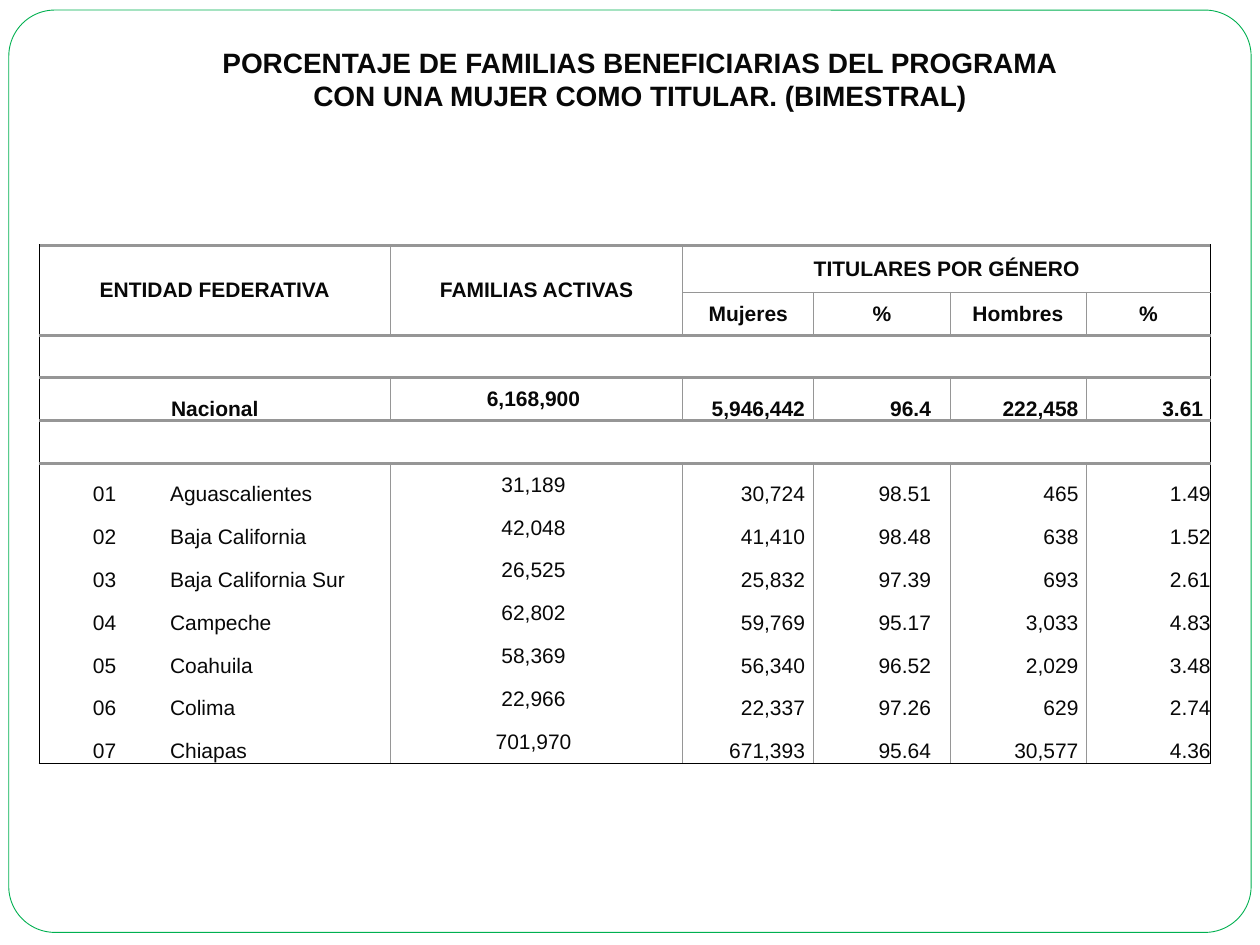
from lxml import etree
from pptx import Presentation
from pptx import util as u
from pptx.dml.color import RGBColor
from pptx.enum import shapes, text
from pptx.oxml.ns import qn

COLORS = {"paper": "FFFFFF", "frame": "00B050", "ink": "080808",
          "grid": "969696", "outline": "000000"}
FONT = "Arial"
CENTER, LEFT, RIGHT = text.PP_ALIGN.CENTER, text.PP_ALIGN.LEFT, text.PP_ALIGN.RIGHT
MIDDLE, BOTTOM = text.MSO_ANCHOR.MIDDLE, text.MSO_ANCHOR.BOTTOM


def write(para, words, size, bold, align):
    para.alignment = align
    span = para.add_run()
    span.text = words
    for name, value in {"name": FONT, "size": u.Pt(size), "bold": bold}.items():
        setattr(span.font, name, value)
    span.font.color.rgb = RGBColor.from_string(COLORS["ink"])


def set_border(cell, position, side, color, points):
    """Add one cell border; borders come before the fill in the cell properties."""
    line = etree.Element(qn(f"a:ln{side}"), w=str(u.Pt(points)))
    if color:
        fill = etree.SubElement(line, qn("a:solidFill"))
        etree.SubElement(fill, qn("a:srgbClr"), val=COLORS[color])
    else:
        etree.SubElement(line, qn("a:noFill"))
    cell._tc.get_or_add_tcPr().insert(position, line)


deck = Presentation()
deck.slide_width, deck.slide_height = u.Inches(10), u.Inches(7.5)
page = deck.slides.add_slide(deck.slide_layouts[6])

# Rounded frame
frame = page.shapes.add_shape(shapes.MSO_SHAPE.ROUNDED_RECTANGLE, u.Inches(0.07),
                              u.Inches(0.08), u.Inches(9.86), u.Inches(7.32))
frame.adjustments[0] = 0.05
frame.shadow.inherit = False
frame.fill.solid()
frame.fill.fore_color.rgb = RGBColor.from_string(COLORS["paper"])
frame.line.color.rgb = RGBColor.from_string(COLORS["frame"])
frame.line.width = u.Pt(0.5)

# Table grid
widths = [1.04, 1.75, 2.32, 1.04, 1.08, 1.08, 0.99]
heights = [0.37] + [0.34] * 11
table_box = page.shapes.add_table(len(heights), len(widths), u.Inches(0.31), u.Inches(1.95),
                                  u.Inches(sum(widths)), u.Inches(sum(heights)))
table = table_box.table
table.first_row = table.horz_banding = False
for column, width in zip(table.columns, widths):
    column.width = u.Inches(width)
for row, height in zip(table.rows, heights):
    row.height = u.Inches(height)
for top, left, bottom, right in [(0, 0, 1, 1), (0, 2, 1, 2), (0, 3, 0, 6), (3, 0, 3, 1)]:
    table.cell(top, left).merge(table.cell(bottom, right))

# Table content; None marks merged or empty cells
rows = [
    ["ENTIDAD FEDERATIVA", None, "FAMILIAS ACTIVAS", "TITULARES POR GÉNERO", None, None, None],
    [None, None, None, "Mujeres", "%", "Hombres", "%"],
    [None] * 7,
    ["Nacional", None, "6,168,900", "5,946,442", "96.4", "222,458", "3.61"],
    [None] * 7,
    ["01", "Aguascalientes", "31,189", "30,724", "98.51", "465", "1.49"],
    ["02", "Baja California", "42,048", "41,410", "98.48", "638", "1.52"],
    ["03", "Baja California Sur", "26,525", "25,832", "97.39", "693", "2.61"],
    ["04", "Campeche", "62,802", "59,769", "95.17", "3,033", "4.83"],
    ["05", "Coahuila", "58,369", "56,340", "96.52", "2,029", "3.48"],
    ["06", "Colima", "22,966", "22,337", "97.26", "629", "2.74"],
    ["07", "Chiapas", "701,970", "671,393", "95.64", "30,577", "4.36"],
]
HEADER_ROWS, NATIONAL, SPACERS, HEAVY_EDGES = (0, 1), 3, (2, 4), (0, 2, 3, 4, 5)
alignments = [CENTER, LEFT, CENTER, RIGHT, RIGHT, RIGHT, RIGHT]
right_margins = [0, 0, 0.05, 0.07, 0.15, 0.06, 0]

for r, values in enumerate(rows):
    for c, words in enumerate(values):
        cell = table.cell(r, c)
        header = r in HEADER_ROWS
        margin = 0 if header else right_margins[c]
        if r == NATIONAL and c == 6:
            margin = 0.06
        layout = {"margin_left": 0, "margin_top": 0, "margin_bottom": 0,
                  "margin_right": u.Inches(margin),
                  "vertical_anchor": MIDDLE if header or c == 2 else BOTTOM}
        for name, value in layout.items():
            setattr(cell, name, value)
        cell.fill.background()
        if words:
            write(cell.text_frame.paragraphs[0], words, 12, r <= NATIONAL,
                  CENTER if header else alignments[c])

        # Borders: black outline, heavy rules around bands, thin column lines
        position = 0
        for side, edge in (("L", c), ("R", c + cell.span_width if cell.is_merge_origin else c + 1)):
            if edge in (0, len(widths)):
                color = "outline"
            elif r in SPACERS or edge == 1 or (r == 0 and edge > 3):
                color = None
            else:
                color = "grid"
            set_border(cell, position, side, color, 0.5)
            position += 1
        for side, edge in (("T", r), ("B", r + cell.span_height if cell.is_merge_origin else r + 1)):
            if edge == len(heights):
                color = "outline"
            elif edge in HEAVY_EDGES or (edge == 1 and c >= 3):
                color = "grid"
            else:
                color = None
            set_border(cell, position, side, color, 2 if edge in HEAVY_EDGES else 0.5)
            position += 1

# Title
box = page.shapes.add_textbox(u.Inches(0.39), u.Inches(0.31), u.Inches(9.38), u.Inches(0.64))
box.text_frame.word_wrap = True
box.text_frame.auto_size = text.MSO_AUTO_SIZE.SHAPE_TO_FIT_TEXT
titles = ["PORCENTAJE DE FAMILIAS BENEFICIARIAS DEL PROGRAMA",
          "CON UNA MUJER COMO TITULAR. (BIMESTRAL)"]
for i, words in enumerate(titles):
    para = box.text_frame.add_paragraph() if i else box.text_frame.paragraphs[0]
    write(para, words, 16, True, CENTER)

deck.save("out.pptx")
